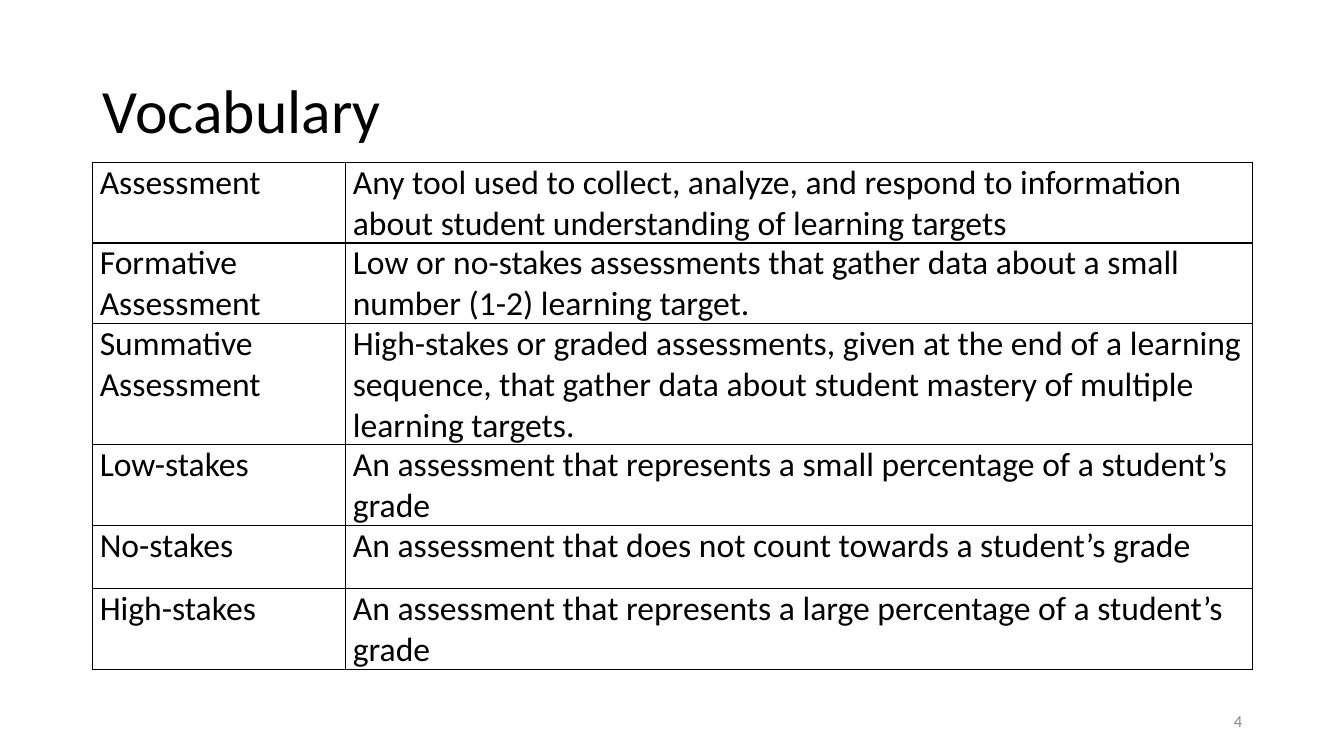
from lxml import etree
from pptx import Presentation
from pptx.dml.color import RGBColor
from pptx.enum.text import MSO_ANCHOR, PP_ALIGN
from pptx.oxml.ns import qn
from pptx.util import Inches, Pt

TITLE = "Vocabulary"
PAGE_NUMBER = "4"
TERMS = [
    ("Assessment", "Any tool used to collect, analyze, and respond to information "
     "about student understanding of learning targets"),
    ("Formative Assessment", "Low or no-stakes assessments that gather data about "
     "a small number (1-2) learning target."),
    ("Summative Assessment", "High-stakes or graded assessments, given at the end of "
     "a learning sequence, that gather data about student mastery of multiple "
     "learning targets."),
    ("Low-stakes", "An assessment that represents a small percentage of a student’s grade"),
    ("No-stakes", "An assessment that does not count towards a student’s grade"),
    ("High-stakes", "An assessment that represents a large percentage of a student’s grade"),
]
COLUMN_WIDTHS = (2.51, 8.99)
ROW_HEIGHTS = (0.63, 0.63, 0.8, 0.63, 0.63, 0.63)
LEFT = 0.92
WIDTH = sum(COLUMN_WIDTHS)

FONT = "Calibri"
BLACK = RGBColor(0x00, 0x00, 0x00)
GRAY = RGBColor(0x8C, 0x8C, 0x8C)
MIDDLE = MSO_ANCHOR.MIDDLE
TOP = MSO_ANCHOR.TOP
ALIGN_LEFT = PP_ALIGN.LEFT
ALIGN_RIGHT = PP_ALIGN.RIGHT


def write(frame, text, size, color, align=ALIGN_LEFT):
    frame.text = text
    frame.word_wrap = True
    para = frame.paragraphs[0]
    para.alignment = align
    font = para.runs[0].font
    font.name = FONT
    font.size = Pt(size)
    font.bold = False
    font.color.rgb = color
    return para


def add_borders(cell):
    properties = cell._tc.get_or_add_tcPr()
    for side in ("a:lnL", "a:lnR", "a:lnT", "a:lnB"):
        line = etree.SubElement(properties, qn(side), w=str(Pt(1)))
        fill = etree.SubElement(line, qn("a:solidFill"))
        etree.SubElement(fill, qn("a:srgbClr"), val=str(BLACK))


def add_title(page):
    title = page.shapes.title
    title.left, title.top = Inches(LEFT), Inches(0.4)
    title.width, title.height = Inches(WIDTH), Inches(1.45)
    title.text_frame.vertical_anchor = MIDDLE
    para = write(title.text_frame, TITLE, 44, BLACK)
    para.line_spacing = 0.9


def add_page_number(page):
    box = page.shapes.add_textbox(Inches(9.42), Inches(6.95), Inches(3), Inches(0.4))
    box.text_frame.vertical_anchor = MIDDLE
    write(box.text_frame, PAGE_NUMBER, 12, GRAY, ALIGN_RIGHT)


def add_vocabulary(page):
    table = page.shapes.add_table(
        len(TERMS), len(COLUMN_WIDTHS), Inches(LEFT), Inches(1.61),
        Inches(WIDTH), Inches(sum(ROW_HEIGHTS))).table
    table.first_row = False
    table.horz_banding = False
    for column, width in zip(table.columns, COLUMN_WIDTHS):
        column.width = Inches(width)
    for row, height, entry in zip(table.rows, ROW_HEIGHTS, TERMS):
        row.height = Inches(height)
        for cell, text in zip(row.cells, entry):
            cell.margin_left = cell.margin_right = Inches(0.07)
            cell.margin_top = cell.margin_bottom = 0
            cell.vertical_anchor = TOP
            write(cell.text_frame, text, 24, BLACK)
            add_borders(cell)
            cell.fill.background()


def main():
    deck = Presentation()
    deck.slide_width, deck.slide_height = Inches(13.33), Inches(7.5)
    page = deck.slides.add_slide(deck.slide_layouts[5])
    add_title(page)
    add_page_number(page)
    add_vocabulary(page)
    deck.save("out.pptx")


if __name__ == "__main__":
    main()
